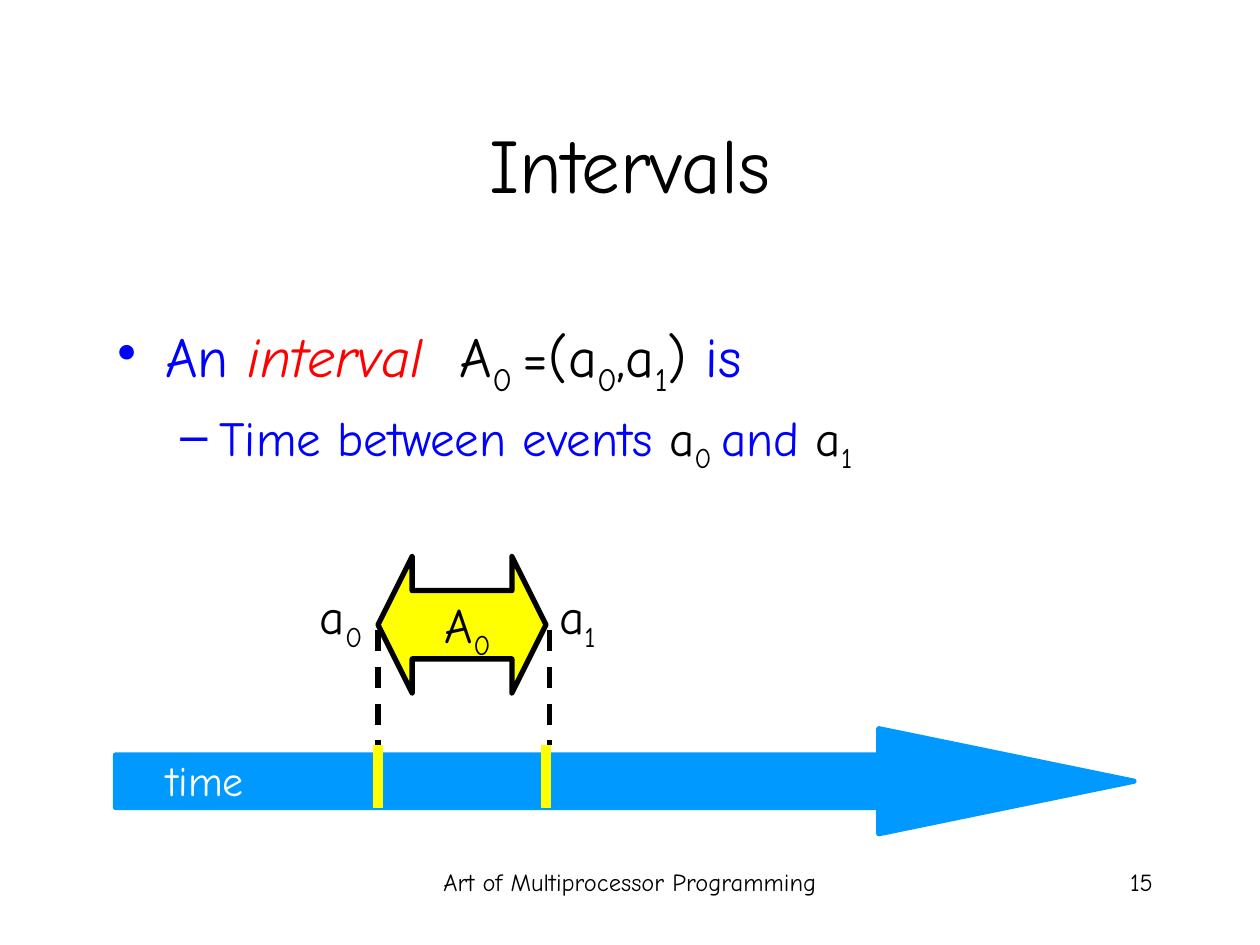
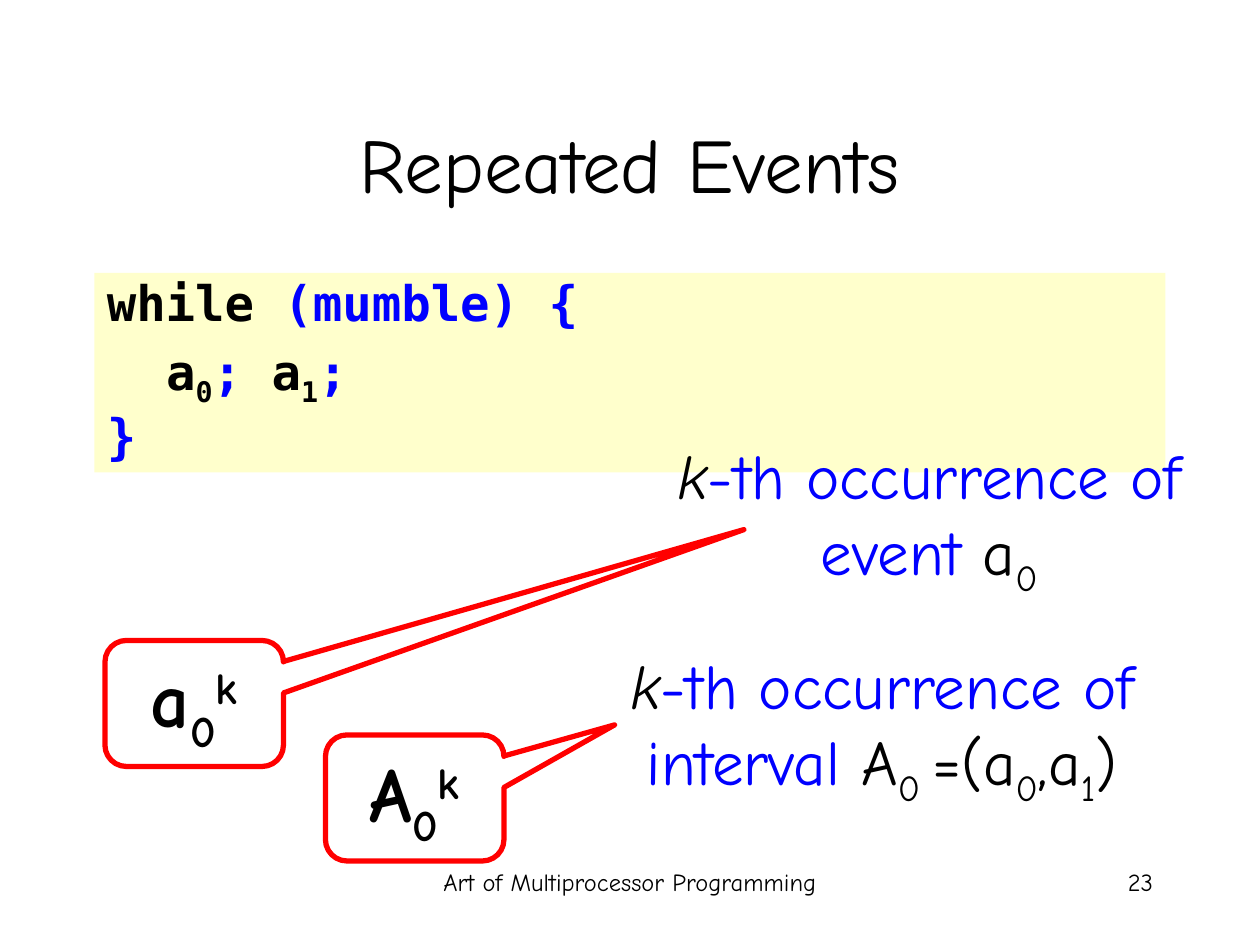
import dataclasses

import lxml.etree
import pptx
import pptx.dml.color
import pptx.enum.dml
import pptx.enum.shapes
import pptx.enum.text
import pptx.oxml.ns
import pptx.util

WIDTH, HEIGHT = pptx.util.Inches(10), pptx.util.Inches(7.5)
COLUMNS, ROWS = 120, 90

COLORS = {
    "ink": "000000",
    "blue": "0000FF",
    "red": "FF0000",
    "white": "FFFFFF",
    "time": "0099FF",
    "yellow": "FFFF00",
    "code": "FFFFCC",
}
HAND, MONO = "Comic Neue", "DejaVu Sans Mono"

SHAPES = pptx.enum.shapes.MSO_SHAPE
ALIGN = pptx.enum.text.PP_ALIGN
MIDDLE = pptx.enum.text.MSO_ANCHOR.MIDDLE
GROW = pptx.enum.text.MSO_AUTO_SIZE.SHAPE_TO_FIT_TEXT

CENTER = {"alignment": ALIGN.CENTER}
RIGHT = {"alignment": ALIGN.RIGHT}
LABEL_FRAME = {"word_wrap": False, "auto_size": GROW}
NOTE_FRAME = {"word_wrap": True, "auto_size": GROW}


@dataclasses.dataclass
class Box:
    """A region in grid cells; region() gives a box relative to it."""
    left: float
    top: float
    width: float
    height: float

    def region(self, left, top, width, height):
        return Box(self.left + left, self.top + top, width, height)

    def emu(self):
        return (*point(self.left, self.top), *point(self.width, self.height))


PAGE = Box(0, 0, COLUMNS, ROWS)


def point(column, row):
    return round(WIDTH * column / COLUMNS), round(HEIGHT * row / ROWS)


def rgb(name):
    return pptx.dml.color.RGBColor.from_string(COLORS[name])


def set_all(target, values):
    for name, value in values.items():
        setattr(target, name, value)


def run(text, color="ink", base=0, **font):
    return text, color, base, font


def indexed(letter, index):
    """A letter followed by its subscript."""
    return [run(letter), run(index, base=-25)]


def interval_pair():
    return [*indexed("A", "0 "), *indexed("=(a", "0"), *indexed(",a", "1"), run(")")]


def fill_para(para, runs, size, font=HAND, bold=None, **values):
    set_all(para, values)
    for text, color, base, extra in runs:
        span = para.add_run()
        span.text = text
        set_all(span.font, {"name": font, "size": pptx.util.Pt(size), "bold": bold, **extra})
        span.font.color.rgb = rgb(color)
        if base:
            span.font._element.set("baseline", str(base * 1000))


def indent(para, left, first, bullet=None):
    properties = para._p.get_or_add_pPr()
    properties.set("marL", str(pptx.util.Inches(left)))
    properties.set("indent", str(pptx.util.Inches(first)))
    if bullet:
        mark = lxml.etree.SubElement(properties, pptx.oxml.ns.qn("a:buChar"))
        mark.set("char", bullet)


def add_text(page, box, runs, size, frame_values=None, **values):
    frame = page.shapes.add_textbox(*box.emu()).text_frame
    set_all(frame, {"word_wrap": True, **(frame_values or {})})
    fill_para(frame.paragraphs[0], runs, size, **values)
    return frame


def add_shape(page, box, kind, fill=None, line=None, adjustments=()):
    shape = page.shapes.add_shape(kind, *box.emu())
    shape.shadow.inherit = False
    for index, value in enumerate(adjustments):
        shape.adjustments[index] = value
    if fill:
        shape.fill.solid()
        shape.fill.fore_color.rgb = rgb(fill)
    else:
        shape.fill.background()
    if line:
        shape.line.color.rgb = rgb(line)
        shape.line.width = pptx.util.Pt(3)
    else:
        shape.line.fill.background()
    return shape


def add_upright(page, box, color, width, dash=None):
    """A vertical line down the left side of the box."""
    line = page.shapes.add_connector(
        pptx.enum.shapes.MSO_CONNECTOR.STRAIGHT,
        *point(box.left, box.top), *point(box.left, box.top + box.height))
    line.line.color.rgb = rgb(color)
    set_all(line.line, {"width": pptx.util.Pt(width), "dash_style": dash})
    lxml.etree.SubElement(line._element.spPr, pptx.oxml.ns.qn("a:effectLst"))


def new_page(deck, title, number):
    page = deck.slides.add_slide(deck.slide_layouts[6])
    add_text(page, PAGE.region(41, 82, 38, 6), [run("Art of Multiprocessor Programming")], 14, **CENTER)
    add_text(page, PAGE.region(86, 82, 25, 6), [run(str(number))], 14, **RIGHT)
    add_text(page, PAGE.region(9, 8, 102, 15), [run(title)], 44, {"vertical_anchor": MIDDLE}, **CENTER)
    return page


def definition(page, box):
    frame = add_text(
        page, box,
        [run("An ", "blue"), run("interval  ", "red", italic=True), *interval_pair(), run(" is", "blue")],
        32, space_before=pptx.util.Pt(6.4))
    indent(frame.paragraphs[0], 0.38, -0.38, "•")
    detail = frame.add_paragraph()
    fill_para(
        detail,
        [run("Time between events ", "blue"), *indexed("a", "0 "), run("and ", "blue"), *indexed("a", "1")],
        28, level=1, space_before=pptx.util.Pt(5.6))
    indent(detail, 0.81, -0.31, "–")


def timeline(page, box):
    start, end, bar_top = 25, 41, 18
    add_shape(page, box.region(0, 16.4, 97, 10), SHAPES.RIGHT_ARROW, "time", "time", (0.5, 2.43))
    add_text(page, box.region(2.7, 18.3, 10.7, 6), [run("time", "white")], 24, LABEL_FRAME, **RIGHT)
    for column in (start, end + 0.33):
        add_upright(page, box.region(column, 7, 0, bar_top - 7), "ink", 3, pptx.enum.dml.MSO_LINE.DASH)
    span = add_shape(page, box.region(start, 0, end - start, 13), SHAPES.LEFT_RIGHT_ARROW,
                     "yellow", "ink", (0.5, 0.25))
    span.rotation = 180
    labels = [("a", "0", 18, 2.2, 6.7), ("a", "1", 40.7, 2.2, 6.2), ("A", "0", 29.1, 3, 7.8)]
    for letter, index, column, row, width in labels:
        add_text(page, box.region(column, row, width, 6.8), indexed(letter, index), 28, LABEL_FRAME, **RIGHT)
    for column in (start, end):
        add_upright(page, box.region(column, bar_top, 0, 6), "yellow", 6)


def code_panel(page, box):
    frame = add_shape(page, box, SHAPES.RECTANGLE, "code").text_frame
    frame.vertical_anchor = pptx.enum.text.MSO_ANCHOR.TOP
    lines = [
        (0, [run("while"), run(" (mumble) {", "blue")]),
        (0.47, [*indexed("a", "0"), run("; ", "blue"), *indexed("a", "1"), run(";", "blue")]),
        (0, [run("}", "blue")]),
    ]
    for number, (left, runs) in enumerate(lines):
        para = frame.add_paragraph() if number else frame.paragraphs[0]
        fill_para(para, runs, 28, MONO, True, alignment=ALIGN.LEFT,
                  line_spacing=0.9, space_before=pptx.util.Pt(5.6))
        indent(para, left, 0)


def callout(page, box, letter, tip):
    """A rounded callout showing the k-th occurrence of a letter."""
    shape = add_shape(page, box, SHAPES.ROUNDED_RECTANGULAR_CALLOUT, None, "red", (*tip, 0.17))
    shape.text_frame.vertical_anchor = MIDDLE
    fill_para(shape.text_frame.paragraphs[0], [*indexed(letter, "0"), run("k", base=30)],
              44, bold=True, **CENTER)


def occurrence_note(page, box, noun, symbol):
    runs = [run("k", italic=True), run(f"-th occurrence of {noun} ", "blue"), *symbol]
    add_text(page, box, runs, 36, NOTE_FRAME, **CENTER)


def intervals_page(deck):
    page = new_page(deck, "Intervals", 15)
    definition(page, PAGE.region(10, 30, 102, 43))
    timeline(page, PAGE.region(11, 53, 97, 26.4))


def repeated_events_page(deck):
    page = new_page(deck, "Repeated Events", 23)
    code_panel(page, PAGE.region(9, 26, 102, 19))
    callout(page, PAGE.region(10, 61, 17, 12), "a", (3.08, -1.38))
    occurrence_note(page, PAGE.region(61, 41, 55, 15.6), "event", indexed("a", "0"))
    callout(page, PAGE.region(31, 70, 17, 12), "A", (1.12, -0.58))
    occurrence_note(page, PAGE.region(54, 61, 60, 15.6), "interval", interval_pair())


def main():
    deck = pptx.Presentation()
    set_all(deck, {"slide_width": WIDTH, "slide_height": HEIGHT})
    intervals_page(deck)
    repeated_events_page(deck)
    deck.save("out.pptx")


if __name__ == "__main__":
    main()
